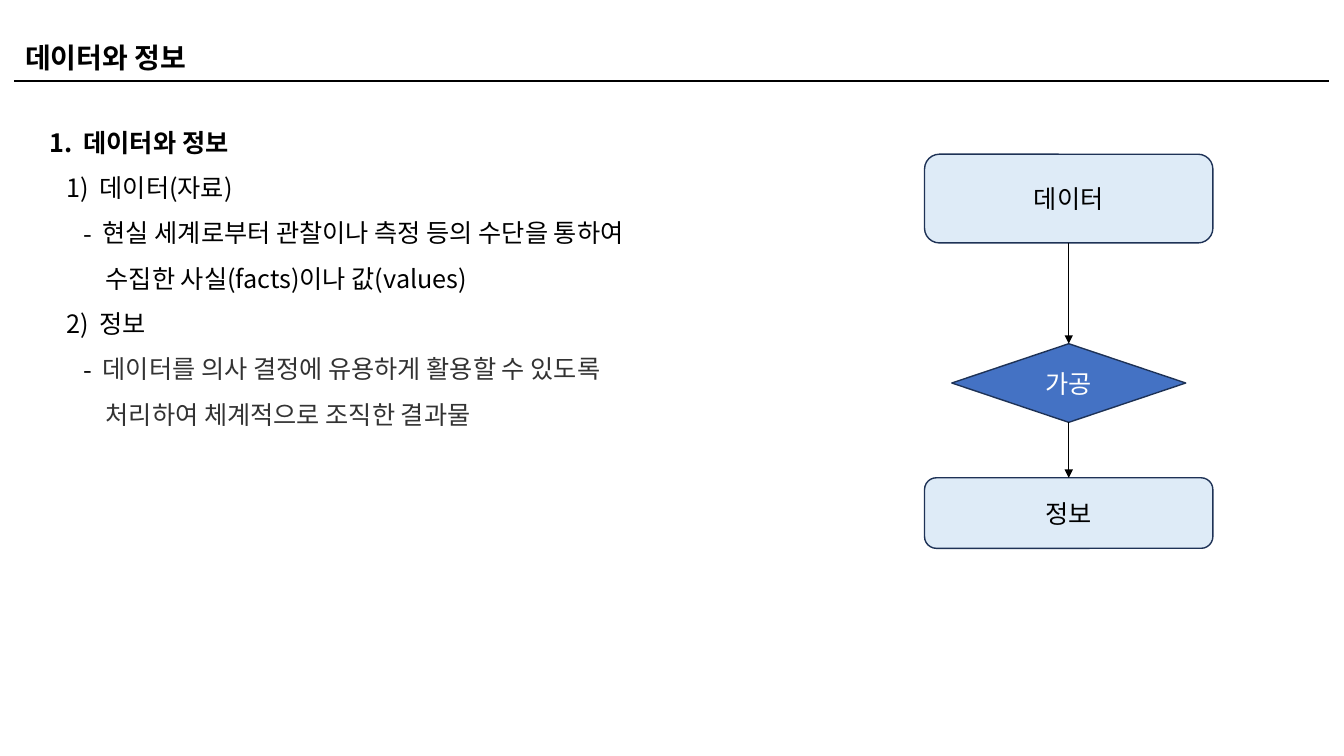
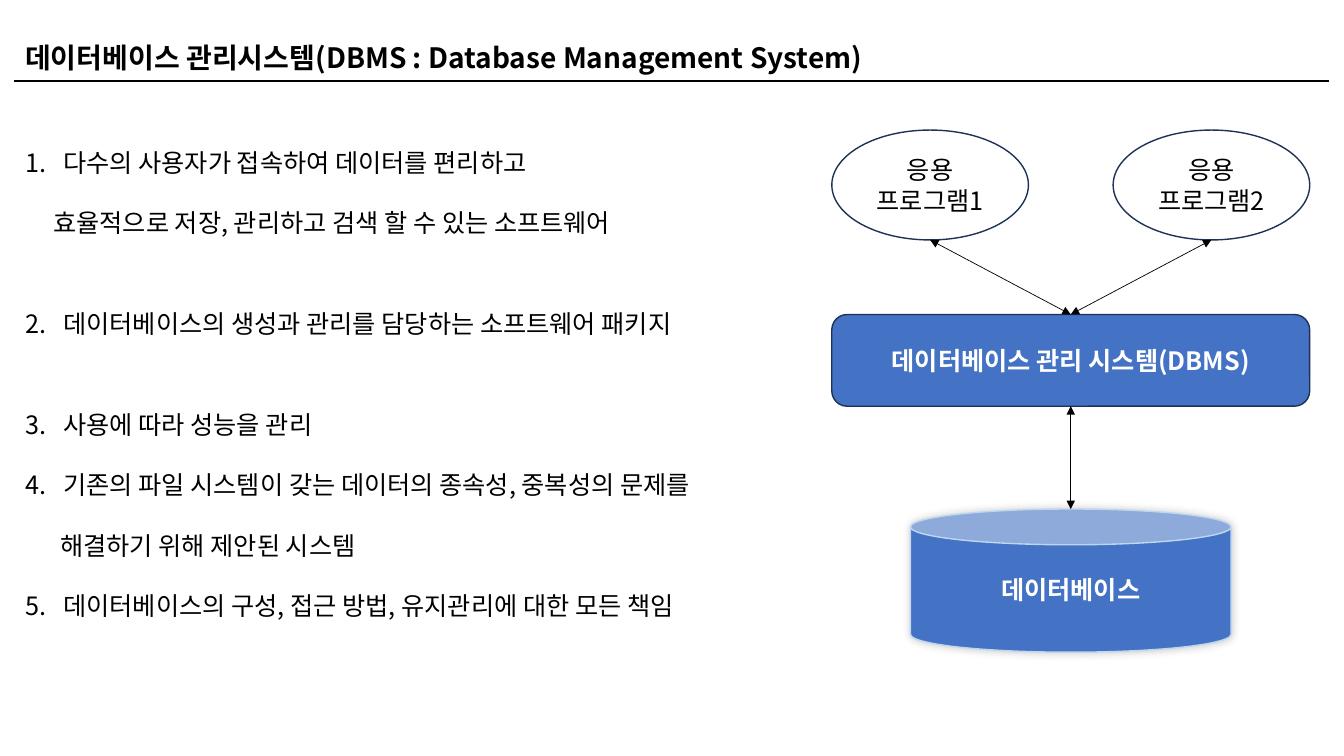
from lxml import etree
from pptx import Presentation
from pptx.dml.color import RGBColor
from pptx.enum.shapes import MSO_CONNECTOR as Link, MSO_SHAPE as Shape
from pptx.enum.text import MSO_ANCHOR as Anchor, PP_ALIGN as Align
from pptx.oxml.ns import qn
from pptx.util import Pt

PX = 9144  # 100 px to the inch
FONT = "Noto Sans CJK KR"
BLACK, WHITE, GREY = "000000", "FFFFFF", "333333"
NAVY, BLUE, PALE, SKY = "1E3256", "4472C4", "DEEBF7", "BDD7EE"
LINE_HEIGHT = 1.2
JOINABLE = (Shape.ROUNDED_RECTANGLE, Shape.DIAMOND)


def px(*lengths):
    return [length * PX for length in lengths]


def rgb(value):
    return RGBColor.from_string(value)


def sub(parent, tag, **attributes):
    return etree.SubElement(parent, qn(tag), attributes)


def style(para, size=18, color=BLACK, bold=False, latin=FONT, spacing=1):
    para.line_spacing = Pt(round(size * LINE_HEIGHT * spacing, 1))
    for span in para.runs:
        font = span.font
        font.size, font.bold, font.name = Pt(size), bold, latin
        font.color.rgb = rgb(color)
        sub(font._element, "a:ea", typeface=FONT)


def indent(para, left, hang=0, mark=None, start=1):
    """Set the text edge and hang a dash or an automatic number before it."""
    props = para._p.get_or_add_pPr()
    props.set("marL", str(left * PX))
    props.set("indent", str(-hang * PX))
    if mark is None:
        sub(props, "a:buNone")
        return
    sub(sub(props, "a:buClr"), "a:srgbClr", val=BLACK)
    sub(props, "a:buFont", typeface=FONT)
    if mark == "-":
        sub(props, "a:buChar", char=mark)
    else:
        sub(props, "a:buAutoNum", type=mark, startAt=str(start))


def text_box(page, box):
    frame = page.shapes.add_textbox(*px(*box)).text_frame
    frame.word_wrap = True
    return frame


def outline(page, box, lines, spacing):
    """Each line: text, indent settings, font settings, gap before in points."""
    frame = text_box(page, box)
    for number, (text, place, look, gap) in enumerate(lines):
        para = frame.add_paragraph() if number else frame.paragraphs[0]
        para.text = text
        indent(para, **place)
        style(para, spacing=spacing, **look)
        if gap:
            para.space_before = Pt(gap)


def node(page, kind, box, text, fill, color=BLACK, edge=NAVY, bold=False):
    shape = page.shapes.add_shape(kind, *px(*box))
    shape.shadow.inherit = False
    shape.fill.solid()
    shape.fill.fore_color.rgb = rgb(fill)
    shape.line.color.rgb = rgb(edge)
    shape.line.width = Pt(1)
    frame = shape.text_frame
    frame.text = text
    frame.word_wrap = False
    frame.vertical_anchor = Anchor.MIDDLE
    for para in frame.paragraphs:
        para.alignment = Align.CENTER
        style(para, color=color, bold=bold)
    return shape


def glow(shape):
    """Give the shape a soft shadow on all sides."""
    effects = shape._element.spPr.find(qn("a:effectLst"))
    shadow = sub(effects, "a:outerShdw", blurRad=str(Pt(6)), dist="0",
                 dir="18900000", algn="ctr", rotWithShape="0")
    sub(sub(shadow, "a:srgbClr", val=BLACK), "a:alpha", val="20000")


def rule(page, start, end, width):
    line = page.shapes.add_connector(Link.STRAIGHT, *start, *end)
    line.line.color.rgb = rgb(BLACK)
    line.line.width = Pt(width)
    sub(line._element.spPr, "a:effectLst")
    return line


def arrow(page, upper, lower, heads=("tailEnd",)):
    """Link the bottom of the upper shape to the top of the lower one."""
    start = upper.left + upper.width // 2, upper.top + upper.height
    end = lower.left + lower.width // 2, lower.top
    line = rule(page, start, end, 0.5)
    for head in heads:
        sub(line.line._get_or_add_ln(), "a:" + head, type="triangle")
    if upper.auto_shape_type in JOINABLE:
        line.begin_connect(upper, 2)
    if lower.auto_shape_type in JOINABLE:
        line.end_connect(lower, 0)


def new_page(deck, title, width):
    page = deck.slides.add_slide(deck.slide_layouts[6])
    rule(page, px(14, 80), px(1318, 80), 1.5)
    para = text_box(page, (15, 35, width, 44)).paragraphs[0]
    para.text = title
    style(para, size=20, bold=True)
    return page


def processing_flow(page, left, top, width):
    def step(kind, inset, down, height, text, fill, color=BLACK):
        box = left + inset, top + down, width - 2 * inset, height
        return node(page, kind, box, text, fill, color)

    data = step(Shape.ROUNDED_RECTANGLE, 0, 0, 88, "데이터", PALE)
    process = step(Shape.DIAMOND, 27, 188, 78, "가공", BLUE, WHITE)
    result = step(Shape.ROUNDED_RECTANGLE, 0, 321, 70, "정보", PALE)
    arrow(page, data, process)
    arrow(page, process, result)


def system_diagram(page, left, top, width):
    both = "headEnd", "tailEnd"
    program_width = 195
    programs = [
        node(page, Shape.OVAL, (x, top, program_width, 109),
             f"응용\n프로그램{number}", WHITE)
        for number, x in enumerate((left, left + width - program_width), 1)]
    system = node(page, Shape.ROUNDED_RECTANGLE, (left, top + 183, width, 91),
                  "데이터베이스 관리 시스템(DBMS)", BLUE, WHITE, bold=True)
    store = node(page, Shape.CAN, (left + 78, top + 376, width - 156, 142),
                 "데이터베이스", BLUE, WHITE, SKY, bold=True)
    glow(store)
    for program in programs:
        arrow(page, program, system, both)
    arrow(page, system, store, both)


def data_page(deck):
    page = new_page(deck, "데이터와 정보", 607)

    def topic(start):
        return dict(left=50, hang=33, mark="arabicParenR", start=start)

    heading = dict(left=34, hang=34, mark="arabicPeriod")
    detail = dict(left=53, hang=19, mark="-")
    more = dict(left=56)
    grey = dict(color=GREY, latin="Arial")
    outline(page, (39, 106, 754, 413), [
        ("데이터와 정보", heading, dict(bold=True), 0),
        ("데이터(자료)", topic(1), {}, 0),
        ("현실 세계로부터 관찰이나 측정 등의 수단을 통하여", detail, {}, 0),
        ("수집한 사실(facts)이나 값(values)", more, {}, 0),
        ("정보", topic(2), {}, 0),
        ("데이터를 의사 결정에 유용하게 활용할 수 있도록", detail, grey, 0),
        ("처리하여 체계적으로 조직한 결과물", more, grey, 0),
    ], 1.5)
    processing_flow(page, 917, 153, 286)


def system_page(deck):
    page = new_page(
        deck, "데이터베이스 관리시스템(DBMS : Database Management System)", 911)

    def item(start):
        return dict(left=38, hang=38, mark="arabicPeriod", start=start)

    gap = 28.8
    outline(page, (15, 111, 768, 505), [
        ("다수의 사용자가 접속하여 데이터를 편리하고", item(1), {}, 0),
        ("효율적으로 저장, 관리하고 검색 할 수 있는 소프트웨어",
         dict(left=28), {}, 0),
        ("데이터베이스의 생성과 관리를 담당하는 소프트웨어 패키지",
         item(2), {}, gap),
        ("사용에 따라 성능을 관리", item(3), {}, gap),
        ("기존의 파일 시스템이 갖는 데이터의 종속성, 중복성의 문제를",
         item(4), {}, 0),
        ("해결하기 위해 제안된 시스템", dict(left=35), {}, 0),
        ("데이터베이스의 구성, 접근 방법, 유지관리에 대한 모든 책임",
         item(5), {}, 0),
    ], 2)
    system_diagram(page, 825, 129, 474)


def main():
    deck = Presentation()
    deck.slide_width, deck.slide_height = px(1333, 750)
    data_page(deck)
    system_page(deck)
    deck.save("out.pptx")


if __name__ == "__main__":
    main()
